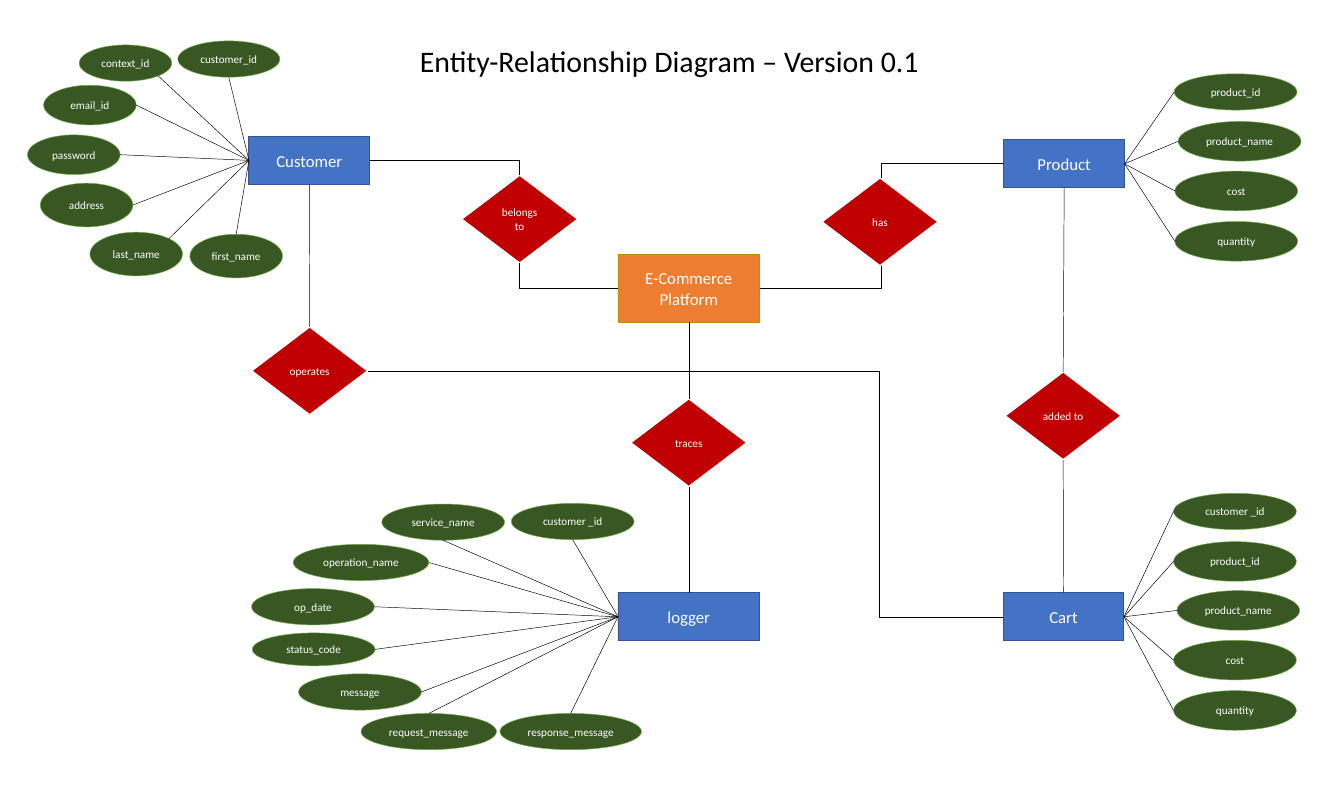
import math

import pptx
import pptx.dml.color
import pptx.enum.shapes
import pptx.enum.text
import pptx.util
from lxml import etree
from pptx.oxml.ns import qn

Inches = pptx.util.Inches
Pt = pptx.util.Pt
RGBColor = pptx.dml.color.RGBColor
SHAPE = pptx.enum.shapes.MSO_SHAPE
CONNECTOR = pptx.enum.shapes.MSO_CONNECTOR

WHITE = RGBColor(0xFF, 0xFF, 0xFF)
BLACK = RGBColor(0, 0, 0)
BLUE = RGBColor(0x44, 0x72, 0xC4)
DARK_BLUE = RGBColor(0x32, 0x54, 0x91)
ORANGE = RGBColor(0xED, 0x7D, 0x31)
GOLD = RGBColor(0xBD, 0x8E, 0x00)
RED = RGBColor(0xC0, 0, 0)
DARK_GREEN = RGBColor(0x38, 0x57, 0x23)
GREEN = RGBColor(0x70, 0xAD, 0x47)

FONT = "Calibri"
TOP, LEFT, BOTTOM, RIGHT = range(4)  # connection sites of boxes and diamonds
# Direction from an oval's centre to the place where its line ends
ANGLES = {"right": 0, "lower right": 45, "bottom": 90, "left": 180,
          "top": 270, "upper right": 315}

# Ovals: name, left, top, width, height, end of line
CUSTOMER_ATTRIBUTES = [
    ("context_id", 1.18, 0.67, 1.38, 0.54, "lower right"),
    ("email_id", 0.65, 1.27, 1.38, 0.59, "right"),
    ("password", 0.41, 2.01, 1.38, 0.59, "right"),
    ("address", 0.6, 2.73, 1.38, 0.65, "right"),
    ("customer_id", 2.65, 0.61, 1.52, 0.54, "bottom"),
    ("last_name", 1.34, 3.46, 1.38, 0.65, "upper right"),
    ("first_name", 2.83, 3.49, 1.38, 0.65, "top"),
]
PRODUCT_ATTRIBUTES = [
    ("product_id", 17.5, 1.1, 1.83, 0.54, "left"),
    ("product_name", 17.56, 1.81, 1.83, 0.59, "left"),
    ("cost", 17.51, 2.55, 1.83, 0.59, "left"),
    ("quantity", 17.51, 3.3, 1.83, 0.59, "left"),
]
CART_ATTRIBUTES = [
    ("customer _id", 17.49, 7.35, 1.83, 0.54, "left"),
    ("product_id", 17.49, 8.07, 1.83, 0.59, "left"),
    ("product_name", 17.54, 8.8, 1.83, 0.59, "left"),
    ("cost", 17.49, 9.54, 1.83, 0.59, "left"),
    ("quantity", 17.49, 10.29, 1.83, 0.59, "left"),
]
LOGGER_ATTRIBUTES = [
    ("customer _id", 7.62, 7.5, 1.83, 0.54, "bottom"),
    ("service_name", 5.69, 7.51, 1.83, 0.54, "bottom"),
    ("operation_name", 4.37, 8.11, 2.02, 0.54, "right"),
    ("op_date", 3.75, 8.77, 1.83, 0.54, "right"),
    ("status_code", 3.76, 9.43, 1.83, 0.49, "right"),
    ("message", 4.45, 10.04, 1.83, 0.54, "right"),
    ("request_message", 5.38, 10.63, 2.02, 0.54, "top"),
    ("response_message", 7.45, 10.63, 2.11, 0.54, "top"),
]


def add_run(p, text, size, color):
    """Add one run of text to a paragraph."""
    r = p.add_run()
    r.text = text
    r.font.name = FONT
    r.font.size = Pt(size)
    r.font.color.rgb = color


def add_node(s, kind, lines, box, fill, line, line_width, size):
    """Add a filled shape with centred white text, one paragraph a line."""
    sp = s.shapes.add_shape(kind, *map(Inches, box))
    sp.shadow.inherit = False
    sp.fill.solid()
    sp.fill.fore_color.rgb = fill
    sp.line.color.rgb = line
    sp.line.width = Pt(line_width)
    tf = sp.text_frame
    tf.word_wrap = True
    tf.vertical_anchor = pptx.enum.text.MSO_ANCHOR.MIDDLE
    for i, text in enumerate(lines):
        p = tf.add_paragraph() if i else tf.paragraphs[0]
        p.alignment = pptx.enum.text.PP_ALIGN.CENTER
        add_run(p, text, size, WHITE)
    return sp


def add_entity(s, lines, x, y, w=1.8, h=0.72, fill=BLUE, line=DARK_BLUE):
    """Add an entity box."""
    return add_node(s, SHAPE.RECTANGLE, lines, (x, y, w, h), fill, line, 1, 18)


def add_relation(s, text, x, y):
    """Add a relationship diamond."""
    return add_node(s, SHAPE.FLOWCHART_DECISION, [text], (x, y, 1.73, 1.31),
                    RED, WHITE, 1.5, 12)


def add_line(s, kind=CONNECTOR.STRAIGHT):
    """Add a thin black connector, to be placed by its ends."""
    c = s.shapes.add_connector(kind, 0, 0, 0, 0)
    c.line.color.rgb = BLACK
    c.line.width = Pt(0.5)
    etree.SubElement(c._element.spPr, qn("a:effectLst"))
    return c


def link(s, start, start_site, end, end_site, preset=None, bend=None):
    """Join two nodes, straight or by the bent preset given."""
    c = add_line(s, CONNECTOR.ELBOW if preset else CONNECTOR.STRAIGHT)
    c.begin_connect(start, start_site)
    c.end_connect(end, end_site)
    geom = c._element.spPr.find(qn("a:prstGeom"))
    if preset:
        geom.set("prst", preset)
    if bend:
        etree.SubElement(geom.find(qn("a:avLst")), qn("a:gd"),
                         name="adj1", fmla=f"val {round(bend * 100000)}")


def add_attributes(s, entity, site, attributes):
    """Add the ovals of an entity, each with a line to one of its sides."""
    for text, x, y, w, h, end in attributes:
        add_node(s, SHAPE.OVAL, [text], (x, y, w, h), DARK_GREEN, GREEN, 0.5, 12)
        angle = math.radians(ANGLES[end])
        c = add_line(s)
        c.begin_connect(entity, site)
        c.end_x = Inches(x + w / 2 * (1 + math.cos(angle)))
        c.end_y = Inches(y + h / 2 * (1 + math.sin(angle)))


def add_title(s, text):
    """Add the title of the diagram."""
    tb = s.shapes.add_textbox(*map(Inches, (6.16, 0.59, 7.8, 0.64)))
    tb.text_frame.word_wrap = True
    add_run(tb.text_frame.paragraphs[0], text, 32, BLACK)


def main():
    """Build the diagram and save it."""
    prs = pptx.Presentation()
    prs.slide_width, prs.slide_height = Inches(20.03), Inches(11.83)
    s = prs.slides.add_slide(prs.slide_layouts[6])
    add_title(s, "Entity-Relationship Diagram – Version 0.1")

    platform = add_entity(s, ["E-Commerce", "Platform"], 9.21, 3.79, 2.11, 1.01,
                          ORANGE, GOLD)
    customer = add_entity(s, ["Customer"], 3.71, 2.03)
    product = add_entity(s, ["Product"], 14.96, 2.08)
    cart = add_entity(s, ["Cart"], 14.95, 8.83)
    logger = add_entity(s, ["logger"], 9.21, 8.83, w=2.11)

    add_attributes(s, customer, LEFT, CUSTOMER_ATTRIBUTES)
    add_attributes(s, product, RIGHT, PRODUCT_ATTRIBUTES)
    add_attributes(s, cart, RIGHT, CART_ATTRIBUTES)
    add_attributes(s, logger, LEFT, LOGGER_ATTRIBUTES)

    # This line runs behind the "has" diamond
    link(s, platform, RIGHT, product, LEFT, "bentConnector3")
    add_relation(s, "has", 12.25, 2.65)
    belongs_to = add_relation(s, "belongs to", 6.88, 2.61)
    traces = add_relation(s, "traces", 9.4, 5.94)
    added_to = add_relation(s, "added to", 14.98, 5.54)
    operates = add_relation(s, "operates", 3.75, 4.87)

    link(s, customer, RIGHT, belongs_to, TOP, "bentConnector2")
    link(s, platform, LEFT, belongs_to, BOTTOM, "bentConnector2")
    link(s, operates, RIGHT, cart, LEFT, "bentConnector3", bend=0.805)
    for start, end in [(customer, operates), (platform, traces), (traces, logger),
                       (product, added_to), (added_to, cart)]:
        link(s, start, BOTTOM, end, TOP)

    prs.save("out.pptx")


main()
